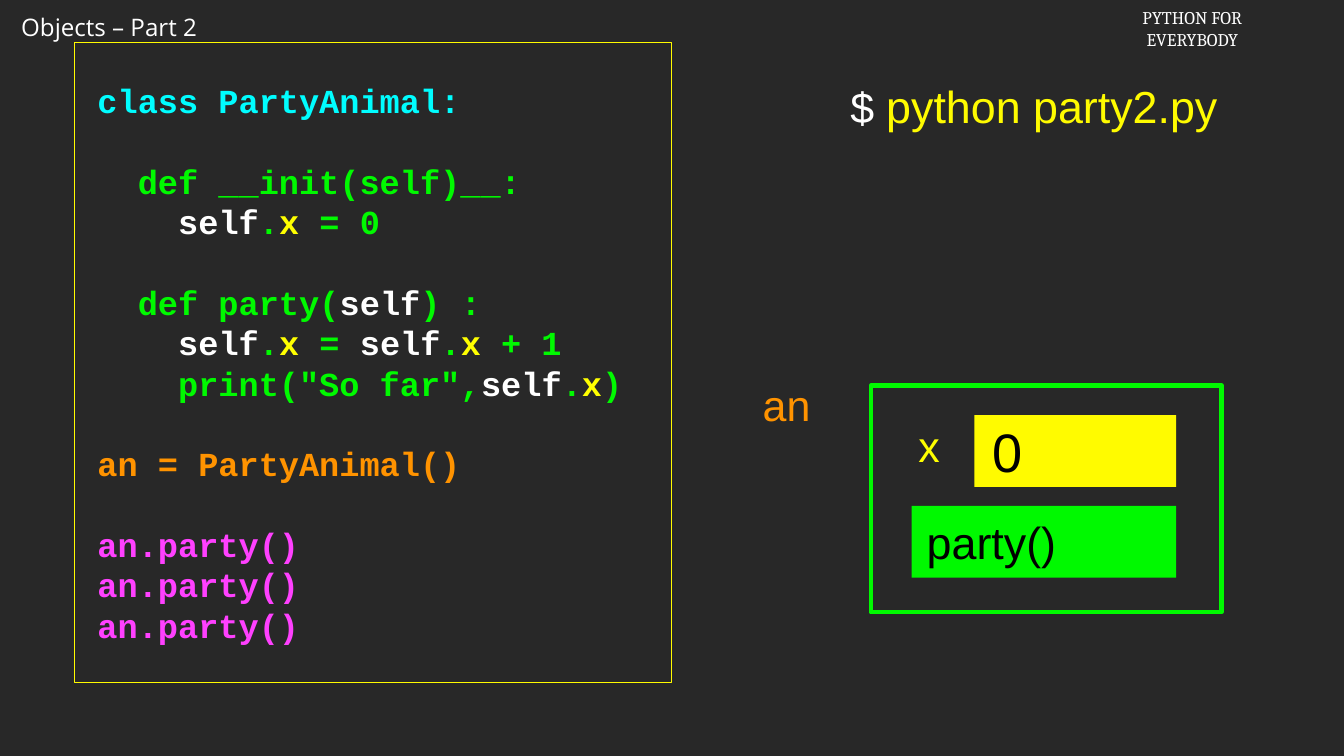
import pptx
import pptx.util
import pptx.dml.color
import pptx.enum.shapes
import pptx.enum.text

Inches = pptx.util.Inches
Pt = pptx.util.Pt
RGBColor = pptx.dml.color.RGBColor
ALIGN = pptx.enum.text.PP_ALIGN
ANCHOR = pptx.enum.text.MSO_ANCHOR

BACKGROUND = RGBColor(0x28, 0x28, 0x28)
WHITE = RGBColor(0xFF, 0xFF, 0xFF)
BLACK = RGBColor(0x00, 0x00, 0x00)
GREEN = RGBColor(0x00, 0xF9, 0x00)
YELLOW = RGBColor(0xFF, 0xFB, 0x00)
BRIGHT_YELLOW = RGBColor(0xFF, 0xFF, 0x00)
CYAN = RGBColor(0x00, 0xFD, 0xFF)
ORANGE = RGBColor(0xFF, 0x93, 0x00)
PINK = RGBColor(0xFF, 0x40, 0xFF)


def write(shape, lines, size, font="Arial", bold=False, align=ALIGN.LEFT,
          anchor=ANCHOR.MIDDLE, wrap=True, left=0.04, margin=0.04,
          line_height=None):
    """Fill a shape with lines of (text, colour) runs; an empty line is a gap."""
    frame = shape.text_frame
    frame.word_wrap = wrap
    frame.auto_size = pptx.enum.text.MSO_AUTO_SIZE.NONE
    frame.vertical_anchor = anchor
    frame.margin_left = Inches(left)
    frame.margin_top = frame.margin_right = frame.margin_bottom = Inches(margin)
    paragraph, gap = None, 0
    for line in lines:
        if not line:
            gap = line_height
            continue
        paragraph = frame.add_paragraph() if paragraph else frame.paragraphs[0]
        paragraph.alignment = align
        paragraph.space_before = Pt(gap)
        gap = 0
        if line_height:
            paragraph.line_spacing = Pt(line_height)
        for text, colour in line:
            run = paragraph.add_run()
            run.text = text
            run.font.name = font
            run.font.size = Pt(size)
            run.font.bold = bold
            run.font.color.rgb = colour


def add_box(left, top, width, height, fill=None, line=None, weight=1):
    box = slide.shapes.add_shape(
        pptx.enum.shapes.MSO_SHAPE.RECTANGLE,
        Inches(left), Inches(top), Inches(width), Inches(height))
    box.shadow.inherit = False
    if fill is None:
        box.fill.background()
    else:
        box.fill.solid()
        box.fill.fore_color.rgb = fill
    if line is None:
        box.line.fill.background()
    else:
        box.line.color.rgb = line
        box.line.width = Pt(weight)
    return box


deck = pptx.Presentation()
deck.slide_width = Inches(17.78)
deck.slide_height = Inches(10)
slide = deck.slides.add_slide(deck.slide_layouts[5])
slide.background.fill.solid()
slide.background.fill.fore_color.rgb = BACKGROUND

# Heading
heading = slide.shapes.title
heading.left, heading.top = Inches(0.18), Inches(0.12)
heading.width, heading.height = Inches(2.67), Inches(0.49)
write(heading, [[("Objects – Part 2", WHITE)]], 23, font="Open Sans",
      anchor=ANCHOR.TOP, wrap=False, left=0.1, margin=0.05)

# Course name
course = slide.shapes.add_textbox(
    Inches(14.88), Inches(0.04), Inches(1.74), Inches(0.67))
write(course, [[("PYTHON FOR", WHITE)], [("EVERYBODY", WHITE)]], 17,
      font="Cambria", align=ALIGN.CENTER, anchor=ANCHOR.TOP, wrap=False,
      left=0.1, margin=0.05)

# Object with its attribute and method
add_box(11.52, 5.1, 4.64, 3, line=GREEN, weight=4)
value = add_box(12.89, 5.49, 2.67, 0.95, fill=YELLOW)
write(value, [[("0", BLACK)]], 51.6, left=0.24)
method = add_box(12.06, 6.69, 3.5, 0.95, fill=GREEN)
write(method, [[("party()", BLACK)]], 42.7, left=0.2)

# Names of the variable and the attribute
variable = slide.shapes.add_textbox(
    Inches(10.05), Inches(4.99), Inches(1.06), Inches(0.73))
write(variable, [[("an", ORANGE)]], 40.9)
attribute = slide.shapes.add_textbox(
    Inches(11.92), Inches(5.55), Inches(0.74), Inches(0.68))
write(attribute, [[("x", BRIGHT_YELLOW)]], 40.9, align=ALIGN.CENTER)

# Program code
self_x = [("self", WHITE), (".", GREEN), ("x", BRIGHT_YELLOW)]
party_call = [("an.party()", PINK)]
program = [
    [("class PartyAnimal:", CYAN)],
    [],
    [("  def __init(self)__:", GREEN)],
    [("    ", GREEN), *self_x, (" = 0", GREEN)],
    [],
    [("  def party(", GREEN), ("self", WHITE), (") :", GREEN)],
    [("    ", GREEN), *self_x, (" = ", GREEN), *self_x, (" + 1", GREEN)],
    [('    print("So far",', GREEN), *self_x, (")", GREEN)],
    [],
    [("an = PartyAnimal()", ORANGE)],
    [],
    *[party_call] * 3,
]
code = add_box(0.98, 0.56, 7.91, 8.47, line=YELLOW)
write(code, program, 32, font="Courier New", bold=True, left=0.31,
      line_height=38.4)

# Command line
command = slide.shapes.add_textbox(
    Inches(11.21), Inches(1.02), Inches(6.01), Inches(0.76))
write(command, [[("$ ", WHITE), ("python party2.py", YELLOW)]], 42.7)
command.text_frame.paragraphs[0].runs[0].font.size = Pt(40.9)

deck.save("out.pptx")
